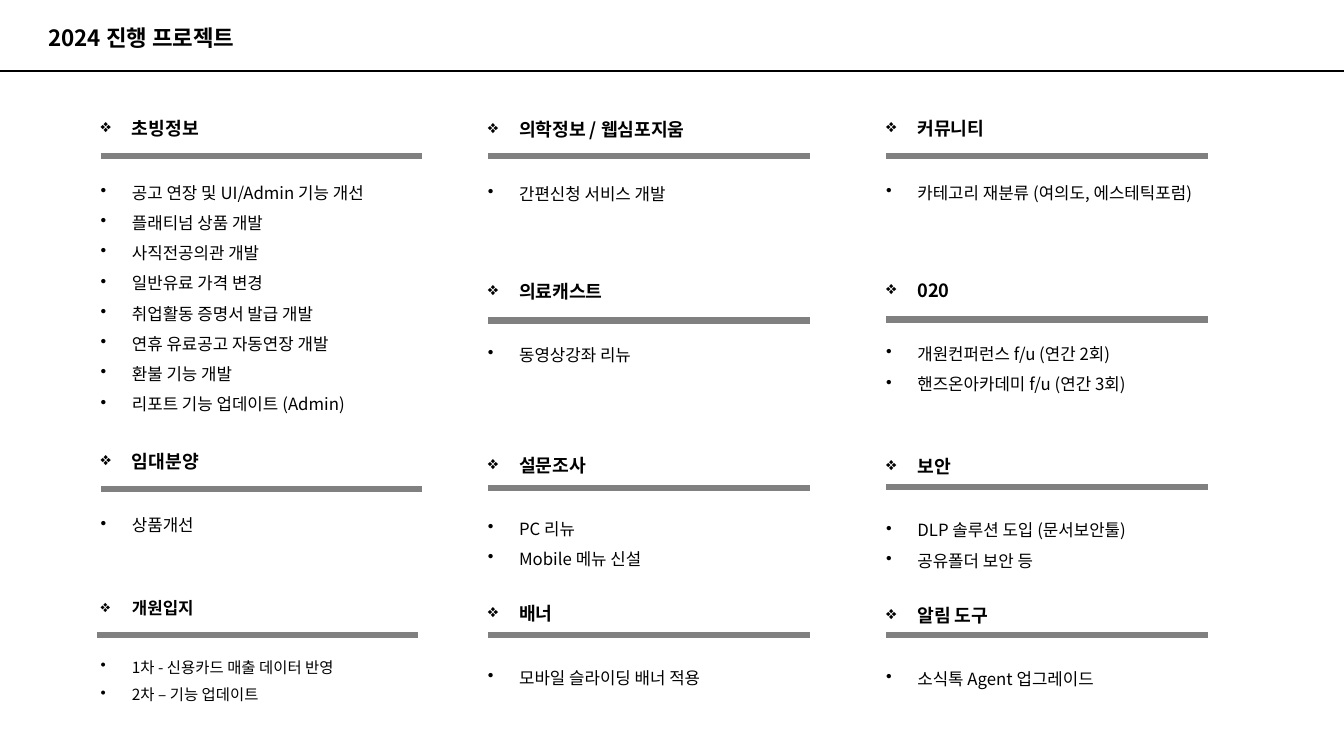
from lxml import etree
from pptx import Presentation
from pptx import util as u
from pptx.dml.color import RGBColor
from pptx.enum import shapes, text
from pptx.oxml.ns import qn

PX = 9144
FONT = "Noto Sans CJK KR"
INDENT = 31
RULE_WIDTH = 319

COLUMNS = [
    ((90, 101, 348, 605), [
        (0, "초빙정보", 13, 100, 155, 23.4, 12, [
            "공고 연장 및 UI/Admin 기능 개선", "플래티넘 상품 개발",
            "사직전공의관 개발", "일반유료 가격 변경",
            "취업활동 증명서 발급 개발", "연휴 유료공고 자동연장 개발",
            "환불 기능 개발", "리포트 기능 업데이트 (Admin)"]),
        (18, "임대분양", 13, 100, 485, 23.4, 12, ["상품개선"]),
        (37.8, "개원입지", 12, 96, 630, 21.6, 11, [
            "1차 - 신용카드 매출 데이터 반영", "2차 – 기능 업데이트"]),
    ]),
    ((474, 102, 348, 594), [
        (0, "의학정보 / 웹심포지움", 13, 484, 155, 23.4, 12, ["간편신청 서비스 개발"]),
        (46.8, "의료캐스트", 13, 484, 318, 23.4, 12, ["동영상강좌 리뉴"]),
        (55.8, "설문조사", 13, 484, 484, 23.4, 12, ["PC 리뉴", "Mobile 메뉴 신설"]),
        (16.2, "배너", 13, 484, 630, 23.4, 12, ["모바일 슬라이딩 배너 적용"]),
    ]),
    ((869, 101, 348, 612), [
        (0, "커뮤니티", 13, 879, 155, 23.4, 12, ["카테고리 재분류 (여의도, 에스테틱포럼)"]),
        (46.8, "020", 13, 879, 317, 23.4, 12, [
            "개원컨퍼런스 f/u (연간 2회)", "핸즈온아카데미 f/u (연간 3회)"]),
        (36, "보안", 13, 879, 483, 23.4, 12, [
            "DLP 솔루션 도입 (문서보안툴)", "공유폴더 보안 등"]),
        (16.2, "알림 도구", 13, 879, 630, 23.4, 12, ["소식톡 Agent 업그레이드"]),
    ]),
]


def colour(value):
    return RGBColor.from_string(value)


def apply(target, values):
    for name, value in values.items():
        setattr(target, name, value)


def add_frame(slide, box, wrap):
    frame = slide.shapes.add_textbox(*(n * PX for n in box)).text_frame
    apply(frame, {"word_wrap": wrap, "auto_size": text.MSO_AUTO_SIZE.SHAPE_TO_FIT_TEXT})
    return frame


def write(paragraph, words, size, bold):
    run = paragraph.add_run()
    run.text = words
    apply(run.font, {"name": FONT, "size": u.Pt(size), "bold": bold})
    run.font.color.rgb = colour("000000")
    etree.SubElement(run.font._element, qn("a:ea"), typeface=FONT)


def add_bullet(frame, mark, words, size, bold, before):
    first = frame.paragraphs[0]
    paragraph = frame.add_paragraph() if first.runs else first
    apply(paragraph, {"line_spacing": 1.5, "space_before": u.Pt(before)})
    properties = paragraph._p.get_or_add_pPr()
    properties.set("marL", str(INDENT * PX))
    properties.set("indent", str(-INDENT * PX))
    etree.SubElement(properties, qn("a:buChar"), char=mark)
    write(paragraph, words, size, bold)


def add_rule(slide, left, top, width, shade, weight):
    rule = slide.shapes.add_connector(
        shapes.MSO_CONNECTOR.STRAIGHT, left * PX, top * PX, (left + width) * PX, top * PX)
    rule.line.color.rgb = colour(shade)
    rule.line.width = u.Pt(weight)
    etree.SubElement(rule._element.spPr, qn("a:effectLst"))


def add_column(slide, box, sections):
    frame = add_frame(slide, box, True)
    for before, heading, heading_size, left, top, after, item_size, items in sections:
        add_bullet(frame, "❖", heading, heading_size, True, before)
        for order, item in enumerate(items):
            add_bullet(frame, "•", item, item_size, False, 0 if order else after)
        add_rule(slide, left, top, RULE_WIDTH, "808080", 4.5)


def main():
    deck = Presentation()
    apply(deck, {"slide_width": 1333 * PX, "slide_height": 750 * PX})
    slide = deck.slides.add_slide(deck.slide_layouts[6])
    for box, sections in COLUMNS:
        add_column(slide, box, sections)
    title = add_frame(slide, (38, 19, 222, 37), False)
    write(title.paragraphs[0], "2024 진행 프로젝트", 16, True)
    add_rule(slide, 0, 70, 1333, "000000", 1.5)
    deck.save("out.pptx")


if __name__ == "__main__":
    main()
